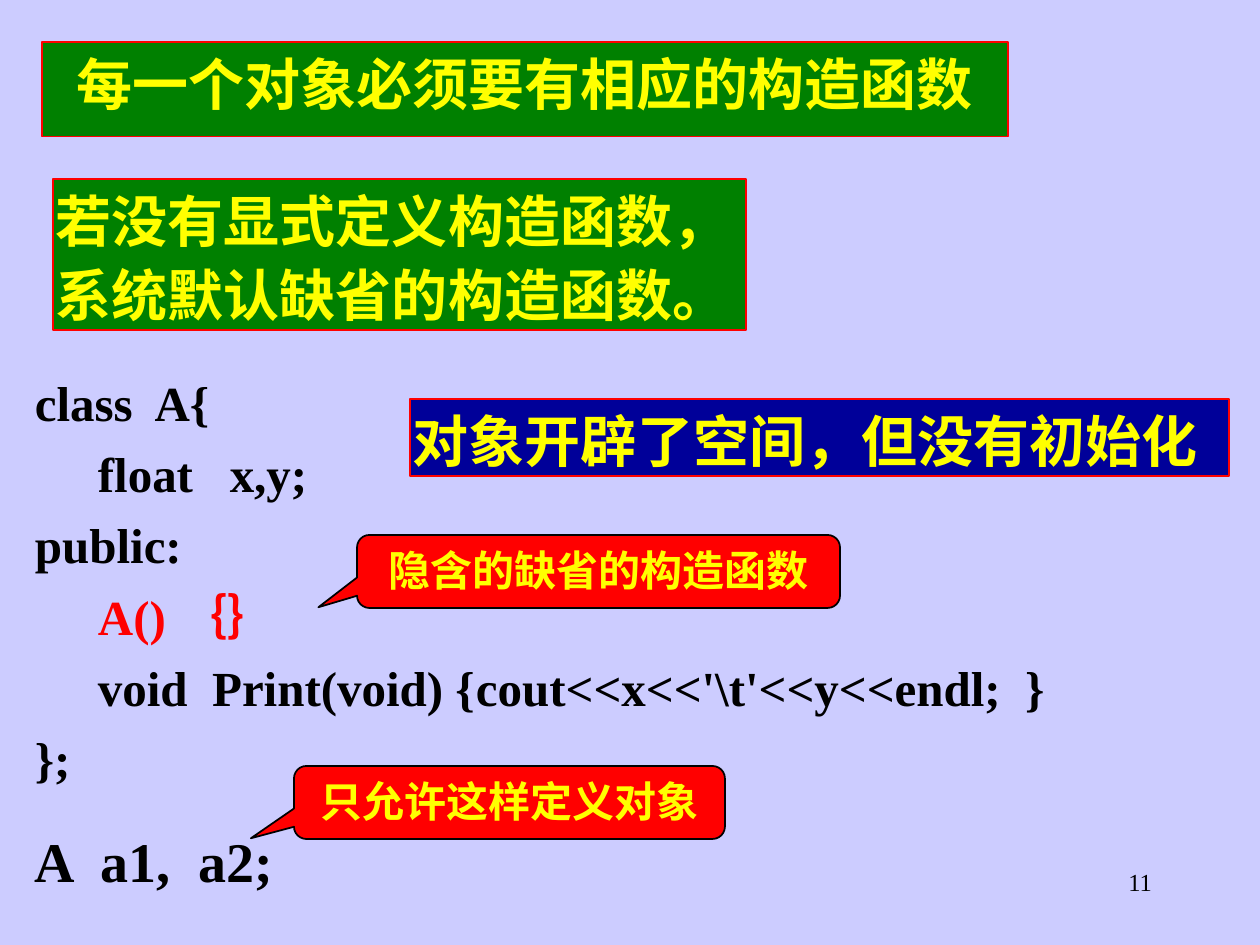
import pptx
import pptx.dml.color
import pptx.enum.shapes
import pptx.enum.text
import pptx.oxml.ns
import pptx.util
import lxml.etree

SHAPES = pptx.enum.shapes.MSO_SHAPE
ALIGN = pptx.enum.text.PP_ALIGN
FIT = pptx.enum.text.MSO_AUTO_SIZE
ANCHOR = pptx.enum.text.MSO_ANCHOR
FONT = "Times New Roman"
BLACK, RED, YELLOW, GREEN, NAVY = "000000", "FF0000", "FFFF00", "008000", "000099"

# Boxes are left, top, width, height in px, 126 to the inch.
HEADING = ("每一个对象必须要有相应的构造函数", (42, 42, 966, 77))
BANNERS = [
    ("若没有显式定义构造函数，系统默认缺省的构造函数。", (53, 179, 693, 151), GREEN),
    ("对象开辟了空间，但没有初始化", (410, 399, 819, 77), NAVY),
]
CODE_BOX = (32, 378, 1176, 412)
CODE = [
    ("class  A{", BLACK),
    ("\tfloat   x,y;", BLACK),
    ("public:", BLACK),
    ("\tA() ｛｝", RED),
    ("\tvoid  Print(void) {\tcout<<x<<'\\t'<<y<<endl;  }", BLACK),
    ("};", BLACK),
]
DECLARATION = ("A  a1,  a2;", (32, 819, 735, 77))
CALLOUTS = [
    ("隐含的缺省的构造函数", (357, 535, 483, 73), (-0.58, 0.49, 0.17)),
    ("只允许这样定义对象", (294, 766, 431, 73), (-0.6, 0.49, 0.17)),
]
PAGE_NUMBER = ("11", (903, 861, 262, 63))


def emu(px):
    return round(px * 914400 / 126)


def rgb(value):
    return pptx.dml.color.RGBColor.from_string(value)


def place(shape, box):
    shape.left, shape.top, shape.width, shape.height = map(emu, box)


def paint(shape, fill, line):
    shape.fill.solid()
    shape.fill.fore_color.rgb = rgb(fill)
    shape.line.color.rgb = rgb(line)
    shape.line.width = pptx.util.Pt(1)


def write(shape, lines, size, align=ALIGN.LEFT, spacing=1.1, before=0,
          bold=True, fit=FIT.SHAPE_TO_FIT_TEXT, insets=(3, 1)):
    """Fill a shape with (text, colour) paragraphs."""
    frame = shape.text_frame
    frame.word_wrap = True
    frame.auto_size = fit
    frame.vertical_anchor = ANCHOR.TOP
    frame.margin_left = frame.margin_right = emu(insets[0])
    frame.margin_top = frame.margin_bottom = emu(insets[1])
    frame.text = "\n".join(text for text, colour in lines)
    for index, (para, (text, colour)) in enumerate(zip(frame.paragraphs, lines)):
        para.alignment = align
        para.line_spacing = spacing
        para.space_before = pptx.util.Pt(before if index else 0)
        for span in para.runs:
            span.font.name = FONT
            span.font.size = pptx.util.Pt(size)
            span.font.bold = bold
            span.font.color.rgb = rgb(colour)


def remove_bullets(shape):
    for para in shape.text_frame.paragraphs:
        properties = para._p.get_or_add_pPr()
        properties.set("marL", "0")
        properties.set("indent", "0")
        lxml.etree.SubElement(properties, pptx.oxml.ns.qn("a:buNone"))


def add_filled(page, kind, box, fill, line):
    shape = page.shapes.add_shape(kind, *map(emu, box))
    shape.shadow.inherit = False
    paint(shape, fill, line)
    return shape


def main():
    deck = pptx.Presentation()
    deck.slide_width, deck.slide_height = emu(1260), emu(945)
    page = deck.slides.add_slide(deck.slide_layouts[1])
    page.background.fill.solid()
    page.background.fill.fore_color.rgb = rgb("CCCCFF")

    text, box = HEADING
    title = page.shapes.title
    place(title, box)
    paint(title, GREEN, RED)
    write(title, [(text, YELLOW)], 32, ALIGN.CENTER)

    code = page.placeholders[1]
    place(code, CODE_BOX)
    write(code, CODE, 28, spacing=0.9, before=10.5)
    remove_bullets(code)

    for text, box, fill in BANNERS:
        banner = add_filled(page, SHAPES.RECTANGLE, box, fill, RED)
        write(banner, [(text, YELLOW)], 32)

    text, box = DECLARATION
    declaration = page.shapes.add_textbox(*map(emu, box))
    write(declaration, [(text, BLACK)], 32)

    for text, box, pointer in CALLOUTS:
        callout = add_filled(page, SHAPES.ROUNDED_RECTANGULAR_CALLOUT, box, RED, BLACK)
        for index, value in enumerate(pointer):
            callout.adjustments[index] = value
        write(callout, [(text, YELLOW)], 24, ALIGN.CENTER, fit=FIT.NONE)

    text, box = PAGE_NUMBER
    number = page.shapes.add_textbox(*map(emu, box))
    write(number, [(text, BLACK)], 14, ALIGN.RIGHT, spacing=1.0, bold=False,
          fit=FIT.NONE, insets=(13, 6))

    deck.save("out.pptx")


if __name__ == "__main__":
    main()
